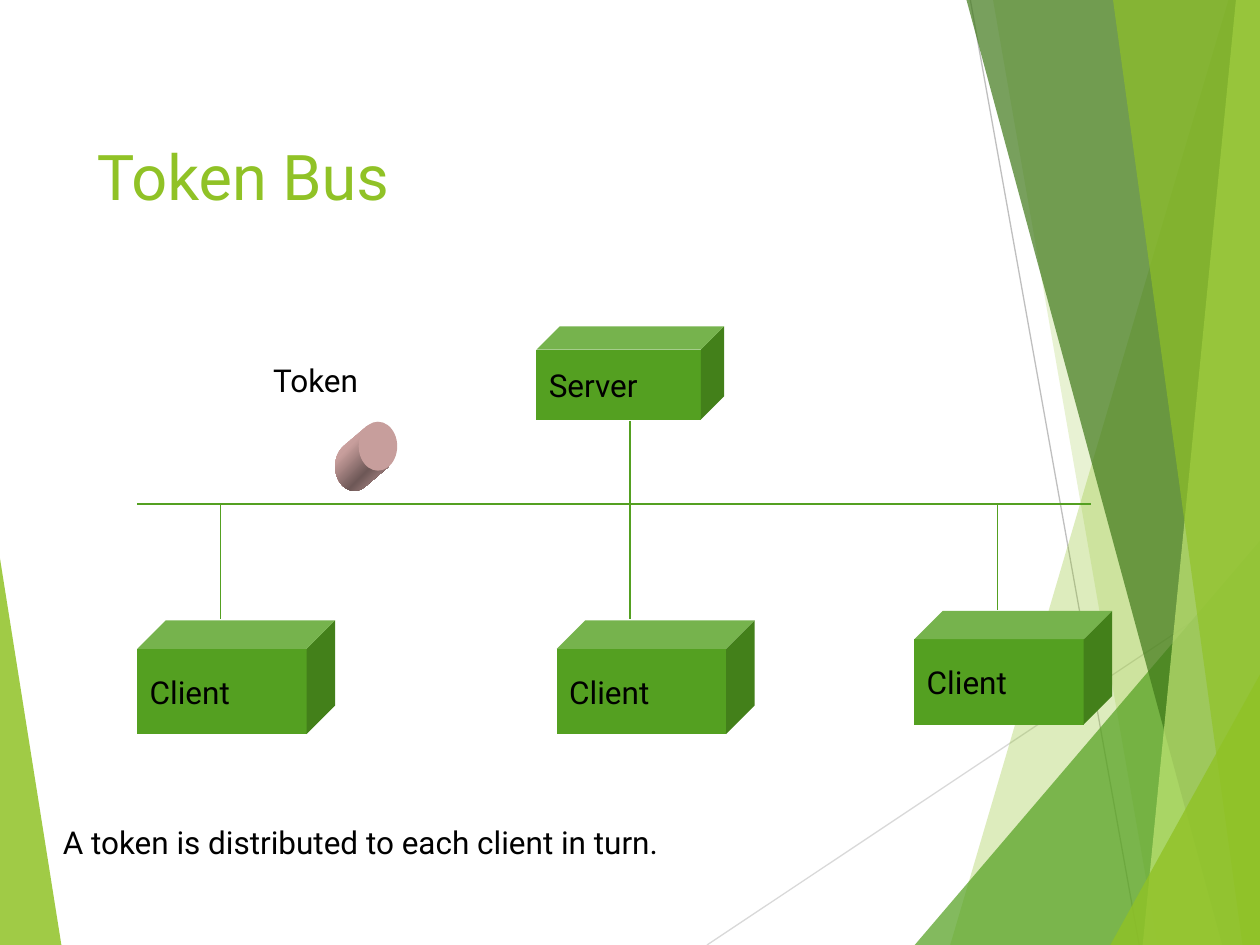
from copy import deepcopy
from dataclasses import dataclass
from math import atan2, cos, pi, sin

from lxml import etree
from pptx import Presentation
from pptx.dml.color import RGBColor
from pptx.enum.shapes import MSO_CONNECTOR, MSO_SHAPE
from pptx.enum.text import MSO_ANCHOR, PP_ALIGN
from pptx.oxml.ns import qn
from pptx.util import Pt

STRAIGHT = MSO_CONNECTOR.STRAIGHT
CUBE, OVAL = MSO_SHAPE.CUBE, MSO_SHAPE.OVAL
MIDDLE, TOP = MSO_ANCHOR.MIDDLE, MSO_ANCHOR.TOP
LEFT = PP_ALIGN.LEFT


@dataclass(frozen=True)
class Theme:
    font: str = "Roboto"
    title_size: int = 36
    body_size: int = 18
    text: str = "000000"
    lime: str = "90C226"
    green: str = "54A021"
    forest: str = "3F7819"
    pale_lime: str = "C0E474"
    light_gray: str = "D9D9D9"
    gray: str = "BFBFBF"
    token_face: str = "C79E9C"
    token_side: tuple = ((0, "E0B5B3"), (0.3, "C79E9C"), (0.65, "6E5857"), (1, "C79E9C"))


THEME = Theme()


@dataclass(frozen=True)
class Box:
    left: float
    top: float
    width: float
    height: float

    def inner(self, left, top, width, height):
        return Box(self.left + left, self.top + top, width, height)

    def lengths(self):
        return [Pt(v) for v in (self.left, self.top, self.width, self.height)]


def color(code):
    return RGBColor.from_string(code)


def write(shape, words, size=THEME.body_size, ink=THEME.text, anchor=TOP, wrap=True):
    frame = shape.text_frame
    frame.word_wrap = wrap
    frame.vertical_anchor = anchor
    para = frame.paragraphs[0]
    para.alignment = LEFT
    span = para.add_run()
    span.text = words
    span.font.name = THEME.font
    span.font.size = Pt(size)
    span.font.color.rgb = color(ink)


def add_line(page, box, start, end, ink, width=1):
    points = [Pt(v) for x, y in (start, end) for v in (box.left + x, box.top + y)]
    line = page.shapes.add_connector(STRAIGHT, *points)
    line.line.color.rgb = color(ink)
    line.line.width = Pt(width)
    etree.SubElement(line._element.spPr, qn("a:effectLst"))


def add_polygon(page, box, points):
    places = [(Pt(box.left + x), Pt(box.top + y)) for x, y in points]
    builder = page.shapes.build_freeform(*places[0], scale=1.0)
    builder.add_line_segments(places[1:], close=True)
    shape = builder.convert_to_shape()
    shape.shadow.inherit = False
    shape.line.fill.background()
    return shape


def fill_solid(shape, ink, opacity=100):
    shape.fill.solid()
    shape.fill.fore_color.rgb = color(ink)
    if opacity < 100:
        tint = shape._element.spPr.find(qn("a:solidFill"))[0]
        etree.SubElement(tint, qn("a:alpha"), val=str(opacity * 1000))


def add_solid(page, kind, box, ink):
    shape = page.shapes.add_shape(kind, *box.lengths())
    shape.shadow.inherit = False
    shape.line.fill.background()
    fill_solid(shape, ink)
    return shape


def add_facets(page, box):
    """Draw the translucent bands along both sides of the slide."""
    right, bottom = box.width, box.height

    def facet(points, ink, opacity):
        fill_solid(add_polygon(page, box, points), ink, opacity)

    def right_band(top_x, bottom_x, ink, opacity, top_y=0):
        edge = [(right, top_y), (right, bottom), (bottom_x, bottom)]
        start = [(top_x, 0)] if top_y == 0 else []
        facet(start + edge, ink, opacity)

    facet([(0, 319), (35.1, bottom), (0, bottom)], THEME.lime, 85)
    add_line(page, box, (404, bottom), (right, 329.5), THEME.light_gray, 0.75)
    add_line(page, box, (554.5, 0), (651, bottom), THEME.gray, 0.75)
    right_band(702, 543, THEME.lime, 30)
    right_band(567.5, 661.5, THEME.lime, 20)
    right_band(None, 522.7, THEME.green, 72, top_y=309)
    right_band(552.3, 698.4, THEME.forest, 70)
    right_band(706.3, 653, THEME.pale_lime, 70)
    right_band(636, 710, THEME.lime, 65)
    right_band(None, 634.5, THEME.lime, 80, top_y=385.5)


def add_title(page, box, words):
    title = page.shapes.title
    title.left, title.top, title.width, title.height = box.lengths()
    write(title, words, THEME.title_size, THEME.lime, MIDDLE)
    page.shapes._spTree.append(title._element)


def add_node(page, box, words):
    cube = add_solid(page, CUBE, box, THEME.green)
    cube.adjustments[0] = 0.25
    write(cube, words, anchor=MIDDLE)


def add_token(page, box):
    """Draw a cylinder whose face sits at the upper right of the box."""
    face_width, face_height = 22, 28
    shift_x, shift_y = face_width - box.width, box.height - face_height
    radius_x, radius_y = face_width / 2, face_height / 2
    start = atan2(-shift_x / radius_x, shift_y / radius_y)
    angles = [start + pi * step / 24 for step in range(25)]
    half = [(box.width - radius_x + radius_x * cos(a), radius_y + radius_y * sin(a))
            for a in angles]
    rear = [(x + shift_x, y + shift_y) for x, y in half]
    side = add_polygon(page, box, rear + half[::-1])
    side.fill.gradient()
    side.fill.gradient_angle = 315
    stop_list = side._element.spPr.find(qn("a:gradFill")).find(qn("a:gsLst"))
    for _ in THEME.token_side[2:]:
        stop_list.append(deepcopy(stop_list[0]))
    for stop, (position, ink) in zip(side.fill.gradient_stops, THEME.token_side):
        stop.position = position
        stop.color.rgb = color(ink)
    face = box.inner(box.width - face_width, 0, face_width, face_height)
    add_solid(page, OVAL, face, THEME.token_face)


def add_caption(page, box, words):
    write(page.shapes.add_textbox(*box.lengths()), words, wrap=False)


def add_network(page, box):
    bus, client_top, raised_top = 101.5, 168, 162.5
    add_line(page, box, (0, bus), (box.width, bus), THEME.green)
    add_node(page, box.inner(228, 0, 107.3, 53.3), "Server")
    for left, top in ((0, client_top), (239.7, client_top), (444, raised_top)):
        add_node(page, box.inner(left, top, 113, 65), "Client")
    drops = ((281.5, 54, client_top), (47.5, bus, client_top), (491.5, bus, raised_top))
    for x, top, bottom in drops:
        add_line(page, box, (x, top), (x, bottom - 0.7), THEME.green)
    add_token(page, box.inner(113, 54.5, 35.5, 39.5))
    add_caption(page, box.inner(70.5, 16.5, 80.6, 36), "Token")


def main():
    deck = Presentation()
    deck.slide_width, deck.slide_height = Pt(720), Pt(540)
    page = deck.slides.add_slide(deck.slide_layouts[5])
    add_facets(page, Box(0, 0, 720, 540))
    add_title(page, Box(48.2, 48.2, 499.7, 103.7), "Token Bus")
    add_network(page, Box(78.5, 186.5, 545, 233))
    add_caption(page, Box(28.8, 466.5, 476, 36),
                "A token is distributed to each client in turn.")
    deck.save("out.pptx")


if __name__ == "__main__":
    main()
